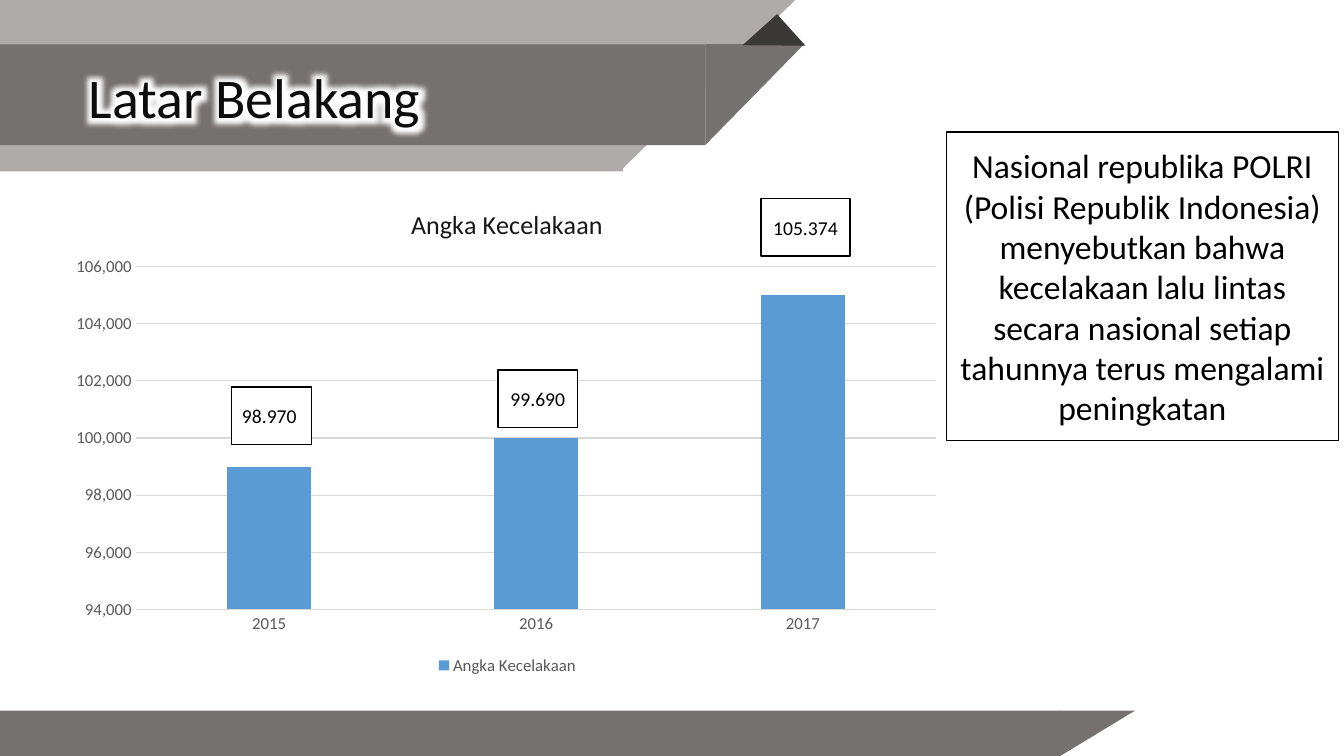
import pptx
import pptx.util
import pptx.chart.data
import pptx.dml.color
import pptx.enum.chart
import pptx.enum.shapes
import pptx.enum.text
import pptx.oxml
import pptx.oxml.ns
import lxml.etree

Cm = pptx.util.Cm
Pt = pptx.util.Pt
RECT = pptx.enum.shapes.MSO_SHAPE.RECTANGLE
WEDGE = pptx.enum.shapes.MSO_SHAPE.RIGHT_TRIANGLE
CENTER = pptx.enum.text.PP_ALIGN.CENTER
MIDDLE = pptx.enum.text.MSO_ANCHOR.MIDDLE
LIGHT, DARK, FOLD = "AFABAB", "767171", "3B3838"
GRAY, GRID, BLUE = "595959", "D9D9D9", "5B9BD5"


def paint(color, code):
    color.rgb = pptx.dml.color.RGBColor.from_string(code)


def style(font, size, code):
    font.name = "Calibri"
    font.size = Pt(size)
    font.bold = False
    paint(font.color, code)


def block(slide, kind, box, code, turn=0):
    shape = slide.shapes.add_shape(kind, *map(Cm, box))
    shape.shadow.inherit = False
    shape.fill.solid()
    paint(shape.fill.fore_color, code)
    shape.line.fill.background()
    shape.rotation = turn
    return shape


def label(slide, box, text, size):
    shape = block(slide, RECT, box, "FFFFFF")
    paint(shape.line.color, "000000")
    shape.line.width = Pt(1)
    frame = shape.text_frame
    frame.word_wrap = True
    frame.vertical_anchor = MIDDLE
    frame.text = text
    para = frame.paragraphs[0]
    para.alignment = CENTER
    style(para.runs[0].font, size, "000000")


def header(slide, box):
    x, y, w, h = box
    block(slide, RECT, (x, y, 15.7, h), LIGHT)
    block(slide, WEDGE, (x + 15.72, y - 0.05, 4.27, 4.37), LIGHT, 90)
    block(slide, RECT, (x, y + 1.12, 17.78, 2.54), DARK)
    block(slide, WEDGE, (x + 17.75, y + 1.14, 2.54, 2.49), DARK, 90)
    fold = block(slide, WEDGE, (x + 18.92, y + 0.61, 1.17, 1.07), FOLD, 138)

    title = slide.shapes.title
    title.left, title.top = Cm(x + 1.98), Cm(y - 0.79)
    title.width, title.height = Cm(w - 2), Cm(6.63)
    frame = title.text_frame
    frame.text = "Latar Belakang"
    frame.vertical_anchor = MIDDLE
    para = frame.paragraphs[0]
    para.alignment = pptx.enum.text.PP_ALIGN.LEFT
    para.line_spacing = 0.9
    style(para.runs[0].font, 40, "0D0D0D")
    glow = pptx.oxml.parse_xml(
        f'<a:effectLst {pptx.oxml.ns.nsdecls("a")}><a:glow rad="228600">'
        '<a:srgbClr val="FFFFFF"/></a:glow></a:effectLst>')
    title.element.xpath(".//a:rPr/a:solidFill")[0].addnext(glow)
    fold.element.addnext(title.element)


def footer(slide, box):
    x, y, w, h = box
    block(slide, RECT, (x, y, w - 2.14, h), DARK)
    block(slide, WEDGE, (x + w - 1.79, y - 0.38, h, 1.93), DARK, 90)


def place(node, **spots):
    qn = pptx.oxml.ns.qn
    layout = node.find(qn("c:layout"))
    if layout is None:
        layout = lxml.etree.Element(qn("c:layout"))
        node.insert(0, layout)
    manual = lxml.etree.SubElement(layout, qn("c:manualLayout"))
    for name, value in spots.items():
        item = lxml.etree.SubElement(manual, qn(f"c:{name}"))
        item.set("val", str(value))


def graph(slide, box):
    x, y, w, h = box
    enum = pptx.enum.chart
    data = pptx.chart.data.CategoryChartData(number_format="#,##0")
    data.categories = ["2015", "2016", "2017"]
    data.add_series("Angka Kecelakaan", (99000, 100000, 105000))
    chart = slide.shapes.add_chart(
        enum.XL_CHART_TYPE.COLUMN_CLUSTERED, *map(Cm, box), data).chart
    style(chart.font, 10, "000000")

    chart.has_title = True
    frame = chart.chart_title.text_frame
    frame.text = "Angka Kecelakaan"
    style(frame.paragraphs[0].runs[0].font, 18.6, "181717")
    chart.has_legend = True
    chart.legend.position = enum.XL_LEGEND_POSITION.BOTTOM
    chart.legend.include_in_layout = False
    style(chart.legend.font, 12, GRAY)

    plot = chart.plots[0]
    plot.vary_by_categories = False
    plot.gap_width = 219
    plot.overlap = -27
    fill = plot.series[0].format.fill
    fill.solid()
    paint(fill.fore_color, BLUE)

    cats, vals = chart.category_axis, chart.value_axis
    for axis in (cats, vals):
        axis.major_tick_mark = enum.XL_TICK_MARK.NONE
        axis.minor_tick_mark = enum.XL_TICK_MARK.NONE
        style(axis.tick_labels.font, 12, GRAY)
    vals.minimum_scale, vals.maximum_scale = 94000, 106000
    vals.major_unit = 2000
    vals.tick_labels.number_format = "#,##0"
    vals.tick_labels.number_format_is_linked = False
    vals.format.line.fill.background()
    for line in (cats.format.line, vals.major_gridlines.format.line):
        paint(line.color, GRID)
        line.width = Pt(0.75)

    root = chart.element
    place(root.xpath(".//c:chart/c:title")[0],
          xMode="edge", yMode="edge", x=8.74 / w, y=0.29 / h)
    place(root.xpath(".//c:plotArea")[0], layoutTarget="inner",
          xMode="edge", yMode="edge",
          x=1.92 / w, y=1.94 / h, w=20.18 / w, h=8.64 / h)

    tags = (("98.970 ", 4.34, 4.97, 2.01), ("99.690", 11.05, 4.54, 2.01),
            ("105.374 ", 17.68, 0.22, 2.24))
    for text, left, top, wide in tags:
        label(slide, (x + left, y + top, wide, 1.45), text, 14)


def main():
    deck = pptx.Presentation()
    deck.slide_width, deck.slide_height = Cm(33.87), Cm(19.05)
    slide = deck.slides.add_slide(deck.slide_layouts[5])
    header(slide, (0, 0, 33.87, 4.32))
    footer(slide, (0, 17.91, 28.84, 1.17))
    graph(slide, (1.5, 4.78, 22.58, 12.34))
    label(slide, (23.85, 3.33, 9.88, 7.77),
          "Nasional republika POLRI (Polisi Republik Indonesia) menyebutkan "
          "bahwa kecelakaan lalu lintas secara nasional setiap tahunnya "
          "terus mengalami peningkatan", 24)
    deck.save("out.pptx")


if __name__ == "__main__":
    main()
